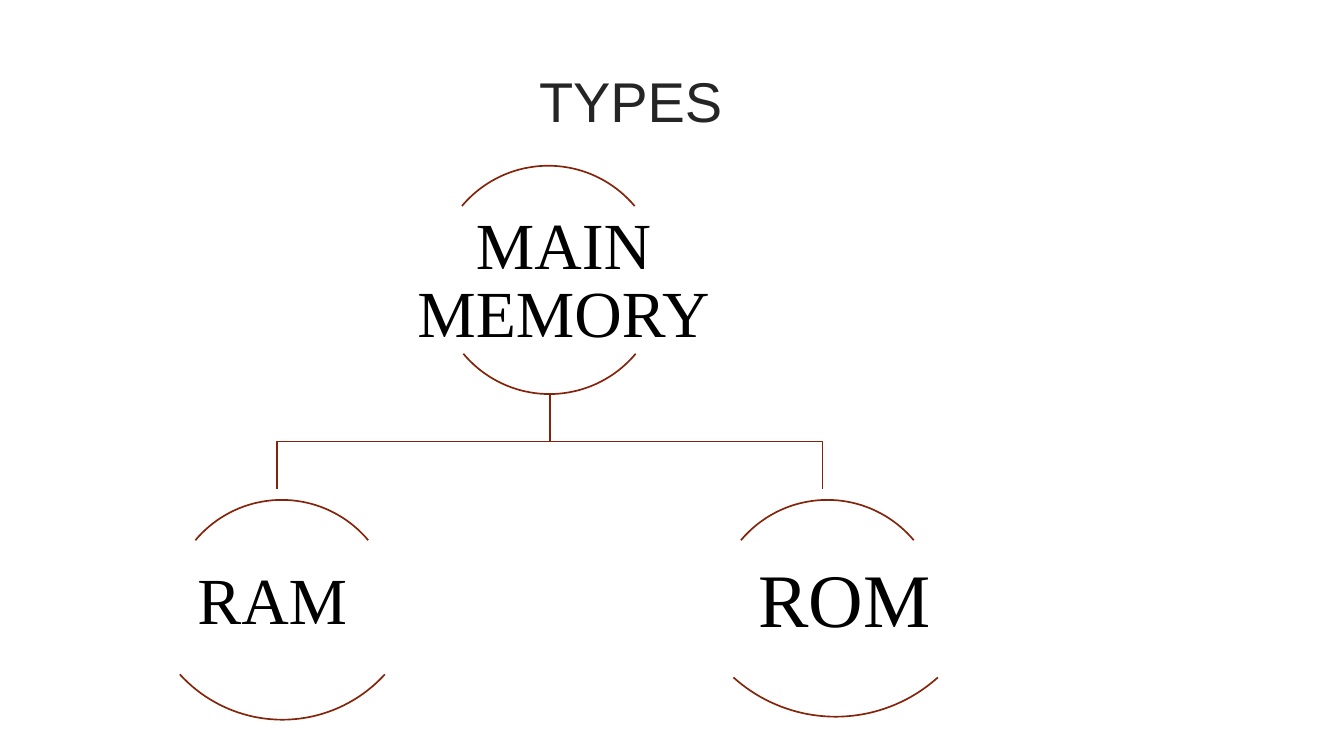
import math
import pptx
import pptx.dml.color
import pptx.enum.text
import pptx.util

Inches, Pt = pptx.util.Inches, pptx.util.Pt
ALIGN, ANCHOR = pptx.enum.text.PP_ALIGN, pptx.enum.text.MSO_ANCHOR
SERIF = "Times New Roman"
RUST = "832309"

LABELS = [
    ("TYPES", (3.8, 0.65, 4.62, 0.68),
     dict(size=40, font="Arial", color="252525", indent=1.55)),
    ("MAIN MEMORY", (4.13, 1.67, 2.93, 2.15),
     dict(size=47, align=ALIGN.CENTER, anchor=ANCHOR.MIDDLE, top=0.12, pitch=48.6)),
    ("RAM", (1.94, 5.53, 1.6, 0.8), dict(size=47, indent=0.02)),
    ("ROM", (7.51, 5.46, 3.94, 0.91), dict(size=54, top=0.02, indent=0.02)),
]
ROOTCAP = (4.585, 1.645, 1.715, 0.4)
ROOTCUP = (4.6, 3.51, 1.71, 0.4)
LEAFCAPS = [(1.94, 4.96, 1.715, 0.4), (7.355, 4.96, 1.715, 0.4)]
LEAFCUPS = [(1.785, 6.69, 2.035, 0.45), (7.28, 6.72, 2.03, 0.39)]
STEM, LEAVES = 5.46, (8.165, 2.75)
ROOT, BAR, FOOT = 3.91, 4.38, 4.85
STEPS = 40


def tint(code):
    return pptx.dml.color.RGBColor.from_string(code)


def write(text, box, size, font=SERIF, color="000000", align=ALIGN.LEFT,
          anchor=ANCHOR.TOP, top=0.01, indent=0, pitch=None):
    frame = slide.shapes.add_textbox(*map(Inches, box)).text_frame
    frame.word_wrap = True
    frame.vertical_anchor = anchor
    frame.margin_left = frame.margin_right = frame.margin_bottom = 0
    frame.margin_top = Inches(top)
    para = frame.paragraphs[0]
    para.alignment = align
    if indent:
        para._p.get_or_add_pPr().set("marL", str(Inches(indent)))
    if pitch:
        para.line_spacing = Pt(pitch)
    run = para.add_run()
    run.text = text
    run.font.size, run.font.name = Pt(size), font
    run.font.color.rgb = tint(color)


def arc(left, top, width, rise, cap=False):
    half = width / 2
    radius = (half ** 2 + rise ** 2) / (2 * rise)
    sweep = math.asin(half / radius)
    points = []
    for step in range(STEPS + 1):
        turn = sweep * (2 * step / STEPS - 1)
        drop = radius * (1 - math.cos(turn))
        y = top + (drop if cap else rise - drop)
        points.append((left + half + radius * math.sin(turn), y))
    return points


def draw(*paths):
    pen = None
    for path in paths:
        points = [(Inches(x), Inches(y)) for x, y in path]
        if pen:
            pen.move_to(*points[0])
        else:
            pen = slide.shapes.build_freeform(*points[0])
        pen.add_line_segments(points[1:], close=False)
    shape = pen.convert_to_shape()
    shape.shadow.inherit = False
    shape.fill.background()
    shape.line.color.rgb = tint(RUST)
    shape.line.width = Pt(1.2)


deck = pptx.Presentation()
deck.slide_width, deck.slide_height = Inches(13.34), Inches(7.5)
slide = deck.slides.add_slide(deck.slide_layouts[6])

forks = [[(STEM, ROOT), (STEM, BAR), (leaf, BAR), (leaf, FOOT)] for leaf in LEAVES]
draw(arc(*ROOTCAP, cap=True))
draw(*forks, arc(*ROOTCUP))
draw(*[arc(*place, cap=True) for place in LEAFCAPS])
for place in LEAFCUPS:
    draw(arc(*place))

for text, box, style in LABELS:
    write(text, box, **style)

deck.save("out.pptx")
